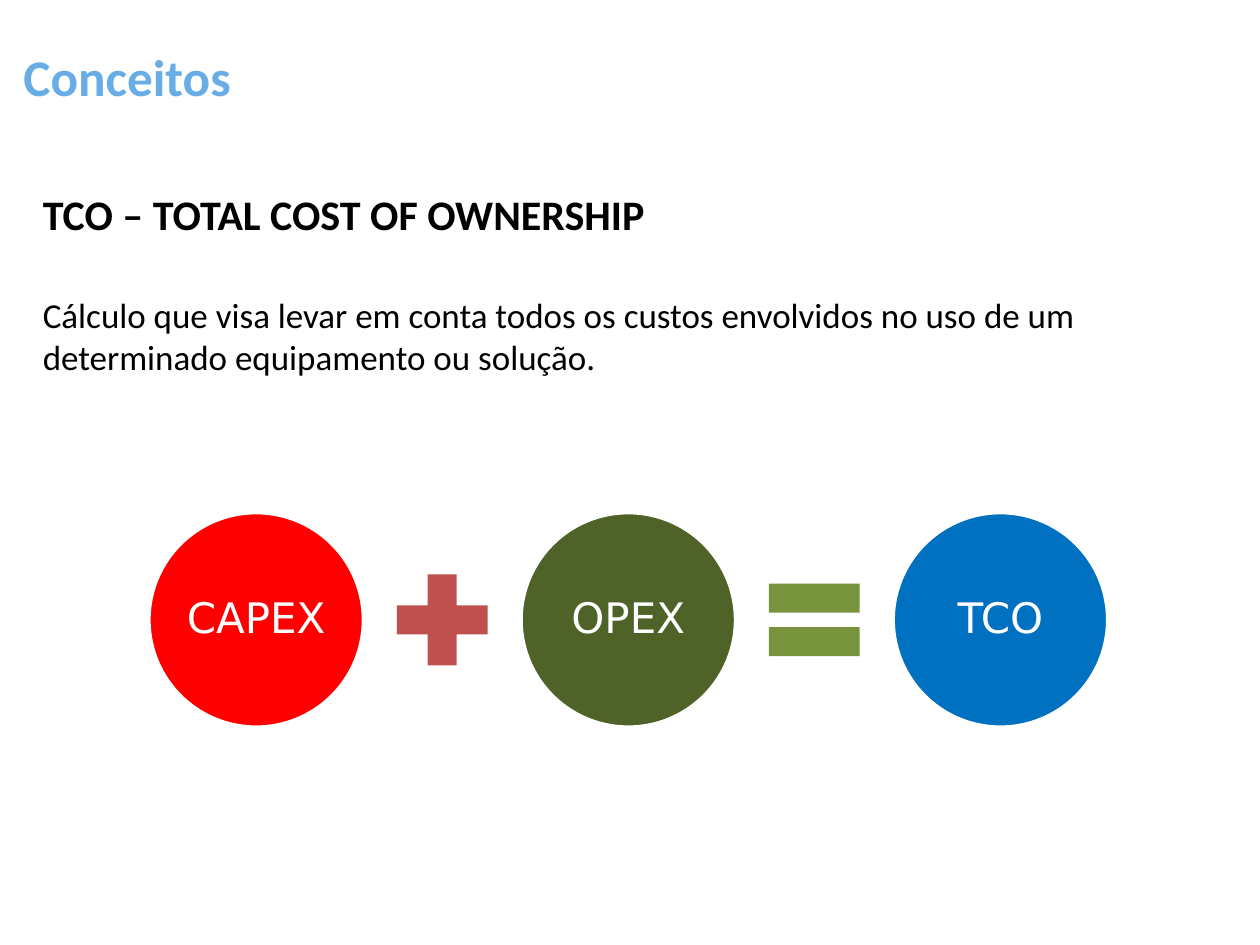
from dataclasses import dataclass

from pptx import Presentation
from pptx.dml.color import RGBColor
from pptx.enum.shapes import MSO_SHAPE
from pptx.enum.text import MSO_ANCHOR, PP_ALIGN
from pptx.util import Pt

OVAL, PLUS, EQUAL = MSO_SHAPE.OVAL, MSO_SHAPE.MATH_PLUS, MSO_SHAPE.MATH_EQUAL
TOP, MIDDLE = MSO_ANCHOR.TOP, MSO_ANCHOR.MIDDLE
CENTER = PP_ALIGN.CENTER


@dataclass(frozen=True)
class Theme:
    """Colours, fonts and type sizes of the slide."""
    title: str = "69ADE7"
    text: str = "000000"
    white: str = "FFFFFF"
    capex: str = "FF0000"
    opex: str = "4F6228"
    tco: str = "0070C0"
    plus: str = "C0504D"
    equal: str = "77933C"
    font: str = "Calibri"
    label_font: str = "DejaVu Sans"
    title_size: int = 44
    heading_size: int = 36
    body_size: int = 30
    label_size: int = 36


THEME = Theme()


def set_frame(tf, anchor, dx, dy):
    """Set wrapping, anchor and insets of a text frame."""
    tf.word_wrap = True
    tf.vertical_anchor = anchor
    tf.margin_left = tf.margin_right = Pt(dx)
    tf.margin_top = tf.margin_bottom = Pt(dy)


def add_run(p, text, size, color, font=THEME.font, bold=False):
    """Add a formatted run to a paragraph."""
    r = p.add_run()
    r.text = text
    r.font.name = font
    r.font.size = Pt(size)
    r.font.bold = bold
    r.font.color.rgb = RGBColor.from_string(color)


def add_text_box(s, box, anchor, dx, dy):
    """Add an empty text box and return its text frame."""
    tf = s.shapes.add_textbox(*map(Pt, box)).text_frame
    set_frame(tf, anchor, dx, dy)
    return tf


def add_centred_shape(s, kind, cx, cy, size, color):
    """Add a square filled shape around a centre point."""
    sp = s.shapes.add_shape(kind, Pt(cx - size / 2), Pt(cy - size / 2),
                            Pt(size), Pt(size))
    sp.shadow.inherit = False
    sp.fill.solid()
    sp.fill.fore_color.rgb = RGBColor.from_string(color)
    sp.line.fill.background()
    return sp


def add_term(s, cx, cy, label, color):
    """Add a labelled circle of the equation."""
    sp = add_centred_shape(s, OVAL, cx, cy, 182.88, color)
    sp.line.color.rgb = RGBColor.from_string(THEME.white)
    sp.line.width = Pt(2)
    set_frame(sp.text_frame, MIDDLE, 3.6, 3.6)
    p = sp.text_frame.paragraphs[0]
    p.alignment = CENTER
    p.line_spacing = 0.9
    add_run(p, label, THEME.label_size, THEME.white, THEME.label_font)


def add_equation(s):
    """Add the circles with an operator midway between neighbours."""
    left, cy, step = 219.6, 531.36, 318.96
    terms = [("CAPEX", THEME.capex), ("OPEX", THEME.opex), ("TCO", THEME.tco)]
    operators = [(PLUS, THEME.plus), (EQUAL, THEME.equal)]
    for i, (label, color) in enumerate(terms):
        add_term(s, left + i * step, cy, label, color)
    for i, (kind, color) in enumerate(operators):
        add_centred_shape(s, kind, left + (i + 0.5) * step, cy, 105.84, color)


def add_definition(s):
    """Add the heading and the definition below it."""
    tf = add_text_box(s, (27.36, 156.24, 1023.12, 180.72), TOP, 9.36, 5.04)
    add_run(tf.paragraphs[0], "TCO – TOTAL COST OF OWNERSHIP",
            THEME.heading_size, THEME.text, bold=True)
    p = tf.add_paragraph()
    p.space_before = Pt(47)
    add_run(p, "Cálculo que visa levar em conta todos os custos envolvidos "
            "no uso de um determinado equipamento ou solução.",
            THEME.body_size, THEME.text)


def add_title(s):
    """Add the slide title."""
    tf = add_text_box(s, (12.96, 38.88, 500.4, 51.84), MIDDLE, 7.2, 3.6)
    add_run(tf.paragraphs[0], "Conceitos", THEME.title_size, THEME.title,
            bold=True)


def main():
    """Build and save the slide."""
    prs = Presentation()
    prs.slide_width, prs.slide_height = Pt(1080), Pt(810)
    s = prs.slides.add_slide(prs.slide_layouts[6])
    add_definition(s)
    add_title(s)
    add_equation(s)
    prs.save("out.pptx")


if __name__ == "__main__":
    main()
